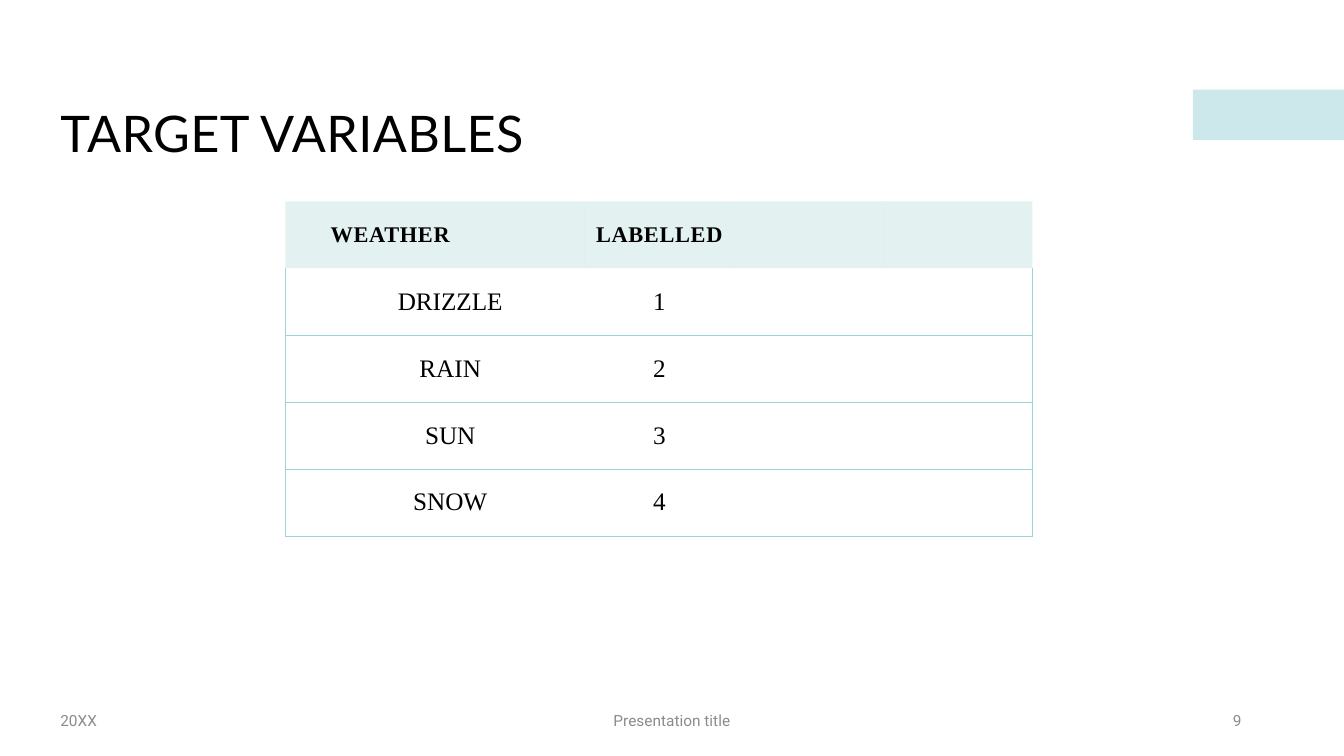
from lxml.etree import SubElement
from pptx import Presentation
from pptx.dml.color import RGBColor
from pptx.enum.shapes import MSO_SHAPE
from pptx.enum.text import MSO_ANCHOR, PP_ALIGN
from pptx.oxml import parse_xml
from pptx.oxml.ns import nsdecls, qn
from pptx.util import Pt

BLACK = RGBColor(0, 0, 0)
GREY = RGBColor(0x8C, 0x8C, 0x8C)
AQUA = RGBColor(0x9C, 0xD3, 0xD9)
TEAL = RGBColor(0x76, 0xBC, 0xBC)

TITLE = "TARGET VARIABLES"
HEADINGS = ("WEATHER", "LABELLED")
CODES = [("DRIZZLE", "1"), ("RAIN", "2"), ("SUN", "3"), ("SNOW", "4")]
FOOTERS = [  # text, left, width, alignment
    ("20XX", 36, 216, PP_ALIGN.LEFT),
    ("Presentation title", 318, 324, PP_ALIGN.CENTER),
    ("9", 678, 216, PP_ALIGN.RIGHT),
]

TITLE_FONT = {"name": "Lato", "size": Pt(36)}
HEADING_FONT = {"name": "Times New Roman", "size": Pt(16), "bold": True}
CODE_FONT = {"name": "Times New Roman", "size": Pt(18), "bold": False}
FOOTER_FONT = {"name": "Roboto", "size": Pt(11)}

COLUMN_WIDTHS = (21.6, 192.2, 106.6, 106.6, 106.6)
ROW_HEIGHT = 47.8
FIRST_TEXT_COLUMN = 1
WEATHER_INDENT = 93  # right margin that moves the first heading left
NO_STYLE = "{2D5ABB26-0587-4C30-8999-92F81FD0307C}"


def write(frame, text, font, color, align, spacing=0):
    """Fill a text frame with one formatted line; spacing is in points."""
    paragraph = frame.paragraphs[0]
    paragraph.alignment = align
    run = paragraph.add_run()
    run.text = text
    for attribute, value in font.items():
        setattr(run.font, attribute, value)
    run.font.color.rgb = color
    if spacing:
        run.font._element.set("spc", str(round(spacing * 100)))


def fill_tint(fill, color, percent):
    """Apply a solid fill with the given opacity."""
    fill.solid()
    fill.fore_color.rgb = color
    srgb = fill._xPr.find(f".//{qn('a:srgbClr')}")
    SubElement(srgb, qn("a:alpha"), val=str(percent * 1000))


def add_borders(cell, sides):
    for position, side in enumerate(sides):
        cell._tc.get_or_add_tcPr().insert(position, parse_xml(
            f'<a:ln{side} {nsdecls("a")} w="{Pt(0.5)}"><a:solidFill>'
            f'<a:srgbClr val="{AQUA}"/></a:solidFill></a:ln{side}>'))


def add_title(slide):
    title = slide.shapes.title
    title.left, title.top, title.width, title.height = Pt(36), Pt(30), Pt(888), Pt(135)
    title.text_frame.vertical_anchor = MSO_ANCHOR.MIDDLE
    write(title.text_frame, TITLE, TITLE_FONT, BLACK, PP_ALIGN.LEFT, 0.3)
    title.text_frame.paragraphs[0].line_spacing = 0.9


def add_accent(slide):
    accent = slide.shapes.add_shape(MSO_SHAPE.RECTANGLE, Pt(852), Pt(64), Pt(108), Pt(36))
    accent.shadow.inherit = False
    accent.line.fill.background()
    fill_tint(accent.fill, AQUA, 50)


def add_code_table(slide):
    rows = [HEADINGS, *CODES]
    last = len(COLUMN_WIDTHS) - 1
    table = slide.shapes.add_table(
        len(rows), len(COLUMN_WIDTHS), Pt(203.9), Pt(143.8),
        Pt(sum(COLUMN_WIDTHS)), Pt(ROW_HEIGHT * len(rows))).table
    table._tbl.tblPr.find(qn("a:tableStyleId")).text = NO_STYLE
    table.horz_banding = False
    for column, width in zip(table.columns, COLUMN_WIDTHS):
        column.width = Pt(width)

    for r, texts in enumerate(rows):
        table.rows[r].height = Pt(ROW_HEIGHT)
        for c in range(last + 1):
            cell = table.cell(r, c)
            cell.vertical_anchor = MSO_ANCHOR.MIDDLE
            if r == 0:
                fill_tint(cell.fill, TEAL, 20)
            else:
                cell.fill.background()
                add_borders(cell, ("L" if c == 0 else "") + ("R" if c == last else "") + "B")
        font, spacing = (HEADING_FONT, 0.5) if r == 0 else (CODE_FONT, 0)
        for c, text in enumerate(texts, FIRST_TEXT_COLUMN):
            write(table.cell(r, c).text_frame, text, font, BLACK, PP_ALIGN.CENTER, spacing)
    table.cell(0, FIRST_TEXT_COLUMN).margin_right = Pt(WEATHER_INDENT)


def add_footers(slide):
    for text, left, width, align in FOOTERS:
        frame = slide.shapes.add_textbox(Pt(left), Pt(500.4), Pt(width), Pt(28.8)).text_frame
        frame.word_wrap = True
        frame.vertical_anchor = MSO_ANCHOR.MIDDLE
        write(frame, text, FOOTER_FONT, GREY, align)


def main():
    presentation = Presentation()
    presentation.slide_width, presentation.slide_height = Pt(960), Pt(540)
    slide = presentation.slides.add_slide(presentation.slide_layouts[5])
    add_accent(slide)
    add_title(slide)
    add_code_table(slide)
    add_footers(slide)
    presentation.save("out.pptx")


if __name__ == "__main__":
    main()
